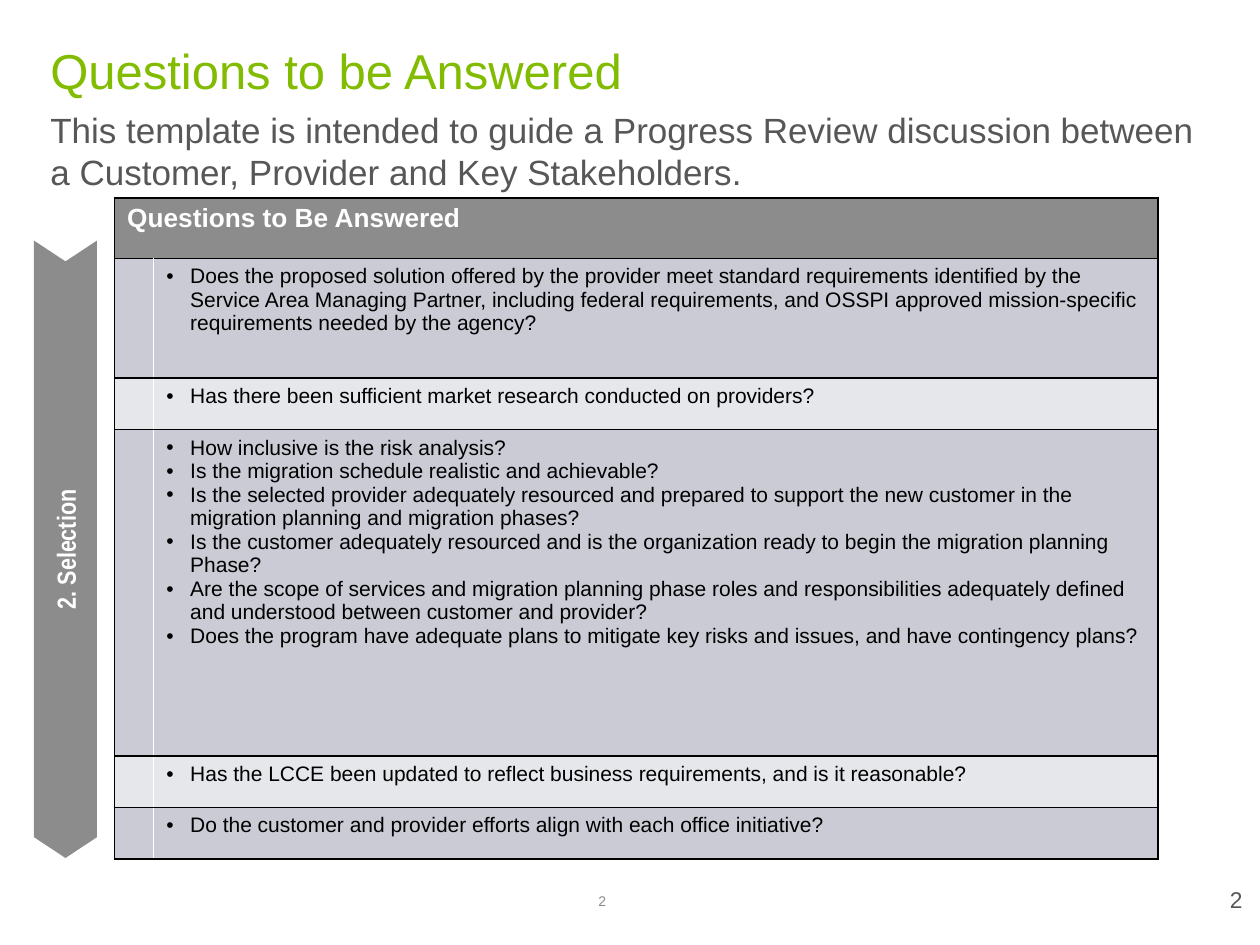
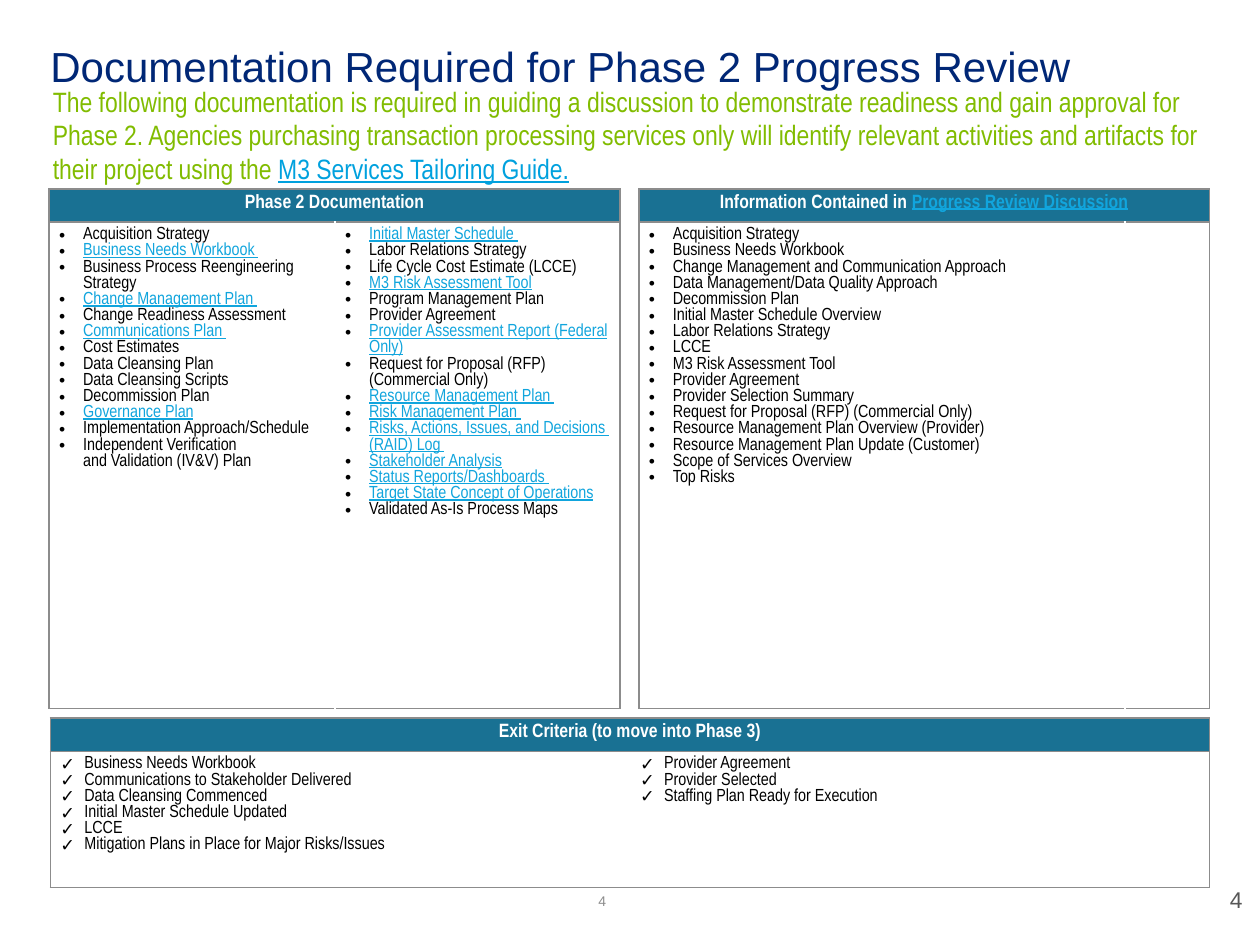
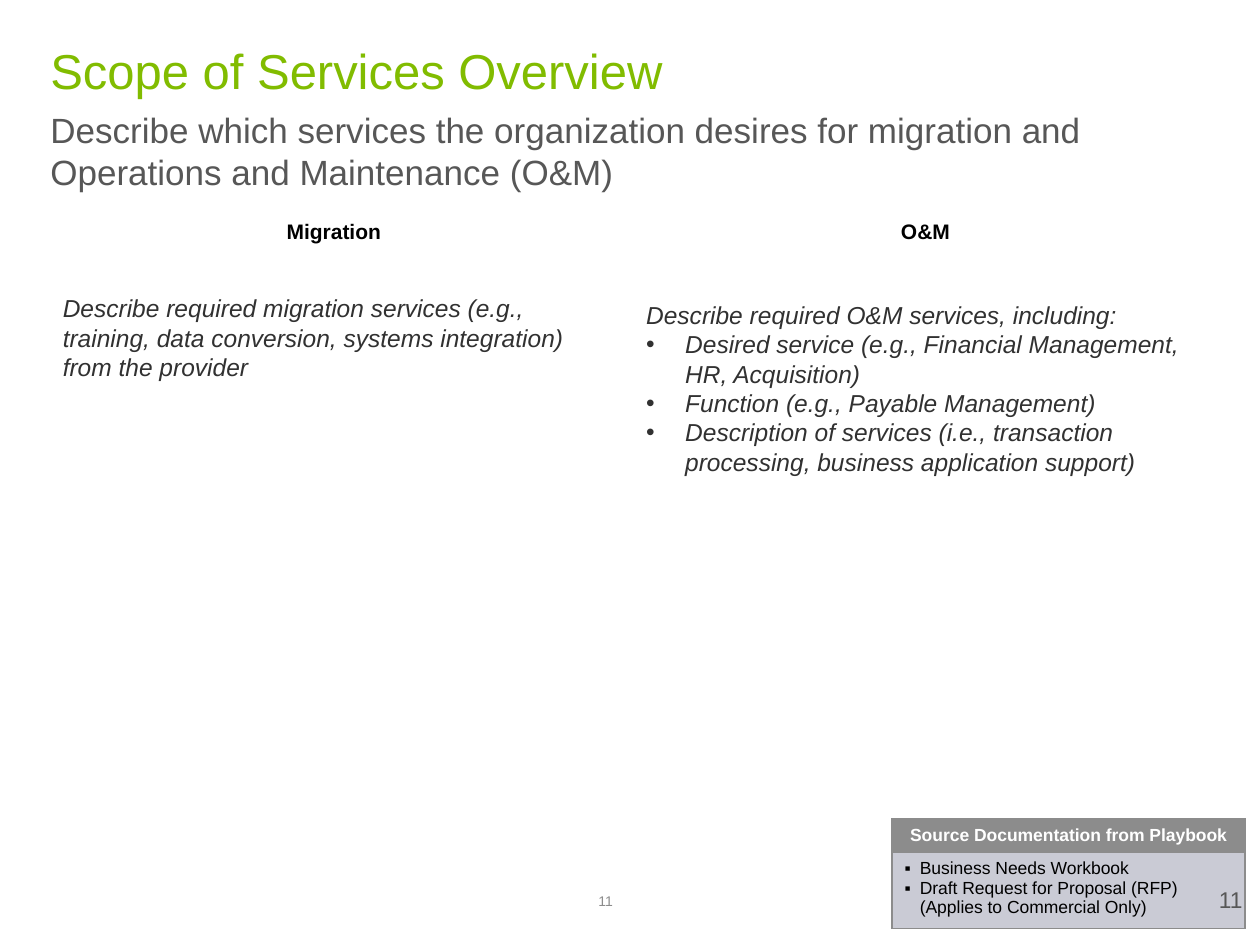
from dataclasses import dataclass, replace
from typing import Optional, Sequence, Union

from lxml import etree
from pptx import Presentation
from pptx.dml.color import RGBColor
from pptx.enum.shapes import MSO_SHAPE
from pptx.enum.text import MSO_ANCHOR, PP_ALIGN
from pptx.oxml.ns import qn
from pptx.util import Inches, Pt

CHEVRON, RECTANGLE = MSO_SHAPE.CHEVRON, MSO_SHAPE.RECTANGLE
LEFT, CENTER, RIGHT = PP_ALIGN.LEFT, PP_ALIGN.CENTER, PP_ALIGN.RIGHT
TOP, MIDDLE, BOTTOM = MSO_ANCHOR.TOP, MSO_ANCHOR.MIDDLE, MSO_ANCHOR.BOTTOM
TITLE_ONLY = 5
PLAIN_TABLE = "{2D5ABB26-0587-4C30-8999-92F81FD0307C}"
ARIAL, NARROW = "Arial", "Arial Narrow"
HARD_SPACE = chr(160)
COLORS = {
    "white": "FFFFFF",
    "black": "000000",
    "ink": "313131",
    "text": "575757",
    "gray": "8C8C8C",
    "band_dark": "CACBD5",
    "band_light": "E6E7EB",
    "green": "81BC00",
    "navy": "002776",
    "teal": "197193",
    "link": "11A5DD",
    "bright_link": "00A1DE",
}


class Link(str):
    pass


Line = Union[str, Sequence[str]]


@dataclass(frozen=True)
class Box:
    left: float
    top: float
    width: float
    height: float

    def lengths(self) -> tuple:
        return tuple(Inches(v) for v in (self.left, self.top, self.width, self.height))


@dataclass(frozen=True)
class Style:
    size: float
    color: str
    font: str = ARIAL
    bold: bool = False
    italic: bool = False
    align: PP_ALIGN = LEFT
    spacing: float = 1.0
    bullet: str = ""
    indent: float = 0.19
    link: str = "link"


@dataclass(frozen=True)
class TableDesign:
    header: Style
    body: Style
    header_fill: str
    body_fills: Sequence[Optional[str]]
    outer: str
    inner: Optional[str]
    margins: tuple


TITLE = Style(28, "green")
SUBTITLE = Style(20, "text")
CENTER_NUMBER = Style(8, "gray")
CORNER_NUMBER = Style(13, "text", align=RIGHT)
SIDE_LABEL = Style(15, "white", NARROW, bold=True, align=CENTER)
COLUMN_HEADING = Style(12, "black", bold=True, align=CENTER, spacing=1.06)
DESCRIPTION = Style(14, "ink", italic=True)
SUBTITLE_BOX = Box(0.4, 0.86, 9.2, 0.83)
WIDE_MARGINS = (0.1, 0.05, 0.1, 0.05)

QUESTIONS = TableDesign(
    Style(15, "white", bold=True), Style(12, "black", bullet="•"),
    "gray", ("band_dark", "band_light"), "black", "white", WIDE_MARGINS)
DOCUMENTS = TableDesign(
    Style(11, "white", NARROW, bold=True, align=CENTER),
    Style(10, "black", NARROW, bullet="•"),
    "teal", (None,), "gray", "white", (0.08, 0.04, 0.08, 0.04))
EXIT_CRITERIA = replace(DOCUMENTS, body=replace(DOCUMENTS.body, bullet="✓"), inner=None)
SOURCES = TableDesign(
    Style(10, "white", bold=True, align=CENTER),
    Style(10, "black", bullet="▪", indent=0.12),
    "gray", ("band_dark",), "gray", None, WIDE_MARGINS)


def rgb(name: str) -> RGBColor:
    return RGBColor.from_string(COLORS[name])


def add_bullet(paragraph, style: Style) -> None:
    properties = paragraph._p.get_or_add_pPr()
    properties.set("marL", str(Inches(style.indent)))
    properties.set("indent", str(-Inches(style.indent)))
    color = etree.SubElement(properties, qn("a:buClr"))
    etree.SubElement(color, qn("a:srgbClr"), val=COLORS[style.color])
    etree.SubElement(properties, qn("a:buFont"), typeface=ARIAL)
    etree.SubElement(properties, qn("a:buChar"), char=style.bullet)


def write(frame, lines: Sequence[Line], style: Style) -> None:
    for line in lines:
        paragraph = frame.paragraphs[-1]
        if paragraph.runs:
            paragraph = frame.add_paragraph()
        paragraph.alignment = style.align
        paragraph.line_spacing = style.spacing
        paragraph.space_before = paragraph.space_after = Pt(0)
        if style.bullet:
            add_bullet(paragraph, style)
        for text in [line] if isinstance(line, str) else line:
            run = paragraph.add_run()
            run.text = str(text)
            linked = isinstance(text, Link)
            run.font.name = style.font
            run.font.size = Pt(style.size)
            run.font.bold = style.bold
            run.font.italic = style.italic
            run.font.underline = linked
            run.font.color.rgb = rgb(style.link if linked else style.color)


def set_margins(target, margins: tuple) -> None:
    (target.margin_left, target.margin_top,
     target.margin_right, target.margin_bottom) = (Inches(v) for v in margins)


def prepare_frame(shape, margins: tuple = (0, 0, 0, 0), anchor: MSO_ANCHOR = TOP,
                  wrap: bool = True):
    frame = shape.text_frame
    frame.word_wrap = wrap
    frame.vertical_anchor = anchor
    set_margins(frame, margins)
    return frame


def add_text(slide, box: Box, lines: Sequence[Line], style: Style,
             margins: tuple = (0, 0, 0, 0), anchor: MSO_ANCHOR = TOP):
    frame = prepare_frame(slide.shapes.add_textbox(*box.lengths()), margins, anchor)
    write(frame, lines, style)
    return frame


def add_label(slide, kind: MSO_SHAPE, box: Box, text: str, style: Style, fill: str):
    shape = slide.shapes.add_shape(kind, *box.lengths())
    shape.shadow.inherit = False
    shape.fill.solid()
    shape.fill.fore_color.rgb = rgb(fill)
    shape.line.fill.background()
    write(prepare_frame(shape, anchor=MIDDLE, wrap=False), [text], style)
    return shape


def set_border(cell, side: str, color: Optional[str]) -> None:
    properties = cell._tc.get_or_add_tcPr()
    border = etree.SubElement(properties, qn(f"a:ln{side}"), w=str(Pt(1)))
    if color is None:
        etree.SubElement(border, qn("a:noFill"))
    else:
        fill = etree.SubElement(border, qn("a:solidFill"))
        etree.SubElement(fill, qn("a:srgbClr"), val=COLORS[color])


def add_table(slide, left: float, top: float, widths: Sequence[float],
              heights: Sequence[float], heading: Line,
              body: Sequence[Sequence[Sequence[Line]]], design: TableDesign) -> None:
    box = Box(left, top, sum(widths), sum(heights))
    table = slide.shapes.add_table(len(heights), len(widths), *box.lengths()).table
    table._tbl.tblPr.find(qn("a:tableStyleId")).text = PLAIN_TABLE
    table.first_row = table.horz_banding = False
    for column, width in zip(table.columns, widths):
        column.width = Inches(width)
    for row, height in zip(table.rows, heights):
        row.height = Inches(height)
    last = len(widths) - 1
    if last:
        table.cell(0, 0).merge(table.cell(0, last))
    for row_index in range(len(heights)):
        header = row_index == 0
        fill = design.header_fill if header else design.body_fills[
            (row_index - 1) % len(design.body_fills)]
        for column_index in range(len(widths)):
            cell = table.cell(row_index, column_index)
            set_margins(cell, design.margins)
            set_border(cell, "L", design.outer if header or column_index == 0 else design.inner)
            set_border(cell, "R", design.outer if header or column_index == last else design.inner)
            set_border(cell, "T", design.outer)
            set_border(cell, "B", design.outer)
            if fill:
                cell.fill.solid()
                cell.fill.fore_color.rgb = rgb(fill)
            else:
                cell.fill.background()
            if not header:
                write(cell.text_frame, body[row_index - 1][column_index], design.body)
    write(table.cell(0, 0).text_frame, [heading], design.header)


def start_slide(presentation, title: str, number: str, style: Style = TITLE):
    slide = presentation.slides.add_slide(presentation.slide_layouts[TITLE_ONLY])
    shape = slide.shapes.title
    shape.left, shape.top, shape.width, shape.height = Box(0.4, 0.32, 9.2, 0.51).lengths()
    write(prepare_frame(shape), [title], style)
    add_text(slide, Box(4.75, 7.09, 0.5, 0.13), [number], CENTER_NUMBER, anchor=BOTTOM)
    return slide


def add_corner_number(slide, number: str) -> None:
    add_text(slide, Box(9.36, 6.93, 0.6, 0.57), [number], CORNER_NUMBER, (0.1,) * 4)


def build_questions(presentation) -> None:
    slide = start_slide(presentation, "Questions to be Answered", "2")
    add_text(slide, SUBTITLE_BOX, [
        "This template is intended to guide a Progress Review discussion between "
        "a Customer, Provider and Key Stakeholders."], SUBTITLE)
    chevron = add_label(slide, CHEVRON, Box(-1.93, 4.11, 4.9, 0.5), "2. Selection",
                        SIDE_LABEL, "gray")
    chevron.adjustments[0] = 0.33
    chevron.rotation = 270
    chevron._element.spPr.find(qn("a:xfrm")).set("flipH", "1")
    questions = [
        ["Does the proposed solution offered by the provider meet standard requirements "
         "identified by the Service Area Managing Partner, including federal requirements, "
         "and OSSPI approved mission-specific requirements needed by the agency?"],
        ["Has there been sufficient market research conducted on providers?"],
        ["How inclusive is the risk analysis?",
         "Is the migration schedule realistic and achievable?",
         "Is the selected provider adequately resourced and prepared to support the new "
         "customer in the migration planning and migration phases?",
         "Is the customer adequately resourced and is the organization ready to begin the "
         "migration planning Phase?",
         "Are the scope of services and migration planning phase roles and responsibilities "
         "adequately defined and understood between customer and provider?",
         "Does the program have adequate plans to mitigate key risks and issues, and have "
         "contingency plans?"],
        ["Has the LCCE been updated to reflect business requirements, and is it reasonable?"],
        ["Do the customer and provider efforts align with each office initiative?"],
    ]
    add_table(slide, 0.91, 1.57, (0.31, 7.97), (0.48, 0.95, 0.41, 2.59, 0.41, 0.41),
              "Questions to Be Answered", [([], group) for group in questions], QUESTIONS)
    add_corner_number(slide, "2")


def build_documentation(presentation) -> None:
    slide = start_slide(presentation, "Documentation Required for Phase 2 Progress Review",
                        "4", replace(TITLE, size=24, color="navy"))
    add_text(slide, Box(0.42, 0.67, 9.2, 0.83), [(
        "The following documentation is required in guiding a discussion to demonstrate "
        "readiness and gain approval for Phase 2. Agencies purchasing transaction processing "
        "services only will identify relevant activities and artifacts for their project "
        "using the ", Link("M3 Services Tailoring Guide."))],
        Style(16, "green", NARROW, link="bright_link"))
    information = [
        "Acquisition Strategy",
        "Business Needs Workbook",
        "Change Management and Communication Approach",
        "Data Management/Data Quality Approach",
        "Decommission Plan",
        "Initial Master Schedule Overview",
        "Labor Relations Strategy",
        "LCCE",
        "M3 Risk Assessment Tool",
        "Provider Agreement",
        "Provider Selection Summary",
        "Request for Proposal (RFP) (Commercial Only)",
        "Resource Management Plan Overview (Provider)",
        "Resource Management Plan Update (Customer)",
        "Scope of Services Overview",
        "Top Risks",
    ]
    add_table(slide, 5.07, 1.5, (3.86, 0.67), (0.17, 3.86),
              ("Information Contained in ", Link("Progress Review Discussion")),
              [(information, [])], DOCUMENTS)
    delivered = [
        "Business Needs Workbook",
        "Communications to Stakeholder Delivered",
        "Data Cleansing Commenced",
        "Initial Master Schedule Updated",
        "LCCE",
        "Mitigation Plans in Place for Major Risks/Issues",
    ]
    selected = ["Provider Agreement", "Provider Selected", "Staffing Plan Ready for Execution"]
    add_table(slide, 0.4, 5.7, (4.6, 4.6), (0.17, 0.95),
              "Exit Criteria (to move into Phase 3)", [(delivered, selected)], EXIT_CRITERIA)
    first_documents = [
        "Acquisition Strategy",
        Link("Business Needs Workbook "),
        "Business Process Reengineering Strategy",
        Link("Change Management Plan "),
        "Change Readiness Assessment",
        Link("Communications Plan "),
        "Cost Estimates",
        "Data Cleansing Plan",
        "Data Cleansing Scripts",
        "Decommission Plan",
        Link("Governance Plan"),
        "Implementation Approach/Schedule",
        f"Independent Verification and{HARD_SPACE}Validation (IV&V) Plan",
    ]
    second_documents = [
        Link("Initial Master Schedule "),
        "Labor Relations Strategy",
        "Life Cycle Cost Estimate (LCCE)",
        Link("M3 Risk Assessment Tool"),
        "Program Management Plan",
        "Provider Agreement",
        Link("Provider Assessment Report (Federal Only)"),
        "Request for Proposal (RFP) (Commercial Only)",
        Link("Resource Management Plan "),
        Link("Risk Management Plan "),
        Link(f"Risks, Actions, Issues, and Decisions{HARD_SPACE} (RAID) Log "),
        Link("Stakeholder Analysis"),
        Link("Status Reports/Dashboards "),
        Link("Target State Concept of Operations"),
        "Validated As-Is Process Maps",
    ]
    add_table(slide, 0.39, 1.5, (2.27, 2.26), (0.24, 3.86), "Phase 2 Documentation",
              [(first_documents, second_documents)], DOCUMENTS)
    add_corner_number(slide, "4")


def build_scope(presentation) -> None:
    slide = start_slide(presentation, "Scope of Services Overview", "11")
    add_text(slide, SUBTITLE_BOX, [
        "Describe which services the organization desires for migration and "
        "Operations and Maintenance (O&M)"], SUBTITLE)
    add_table(slide, 7.08, 6.5, (2.8,), (0.24, 0.25), "Source Documentation from Playbook",
              [([
                  "Business Needs Workbook",
                  "Draft Request for Proposal (RFP) (Applies to Commercial Only)",
              ],)], SOURCES)
    add_label(slide, RECTANGLE, Box(2.17, 1.73, 0.96, 0.2), "Migration", COLUMN_HEADING, "white")
    add_label(slide, RECTANGLE, Box(7.05, 1.72, 0.59, 0.21), "O&M", COLUMN_HEADING, "white")
    services = add_text(slide, Box(5.03, 2.33, 4.57, 1.51),
                        ["Describe required O&M services, including:"],
                        DESCRIPTION, WIDE_MARGINS)
    write(services, [
        "Desired service (e.g., Financial Management, HR, Acquisition)",
        "Function (e.g., Payable Management)",
        "Description of services (i.e., transaction processing, business application support)",
    ], replace(DESCRIPTION, bullet="•", indent=0.31))
    add_text(slide, Box(0.4, 2.28, 4.46, 0.81), [
        "Describe required migration services (e.g., training, data conversion, "
        "systems integration) from the provider"], DESCRIPTION, WIDE_MARGINS)
    add_corner_number(slide, "11")


def main() -> None:
    presentation = Presentation()
    presentation.slide_width = Inches(10)
    presentation.slide_height = Inches(7.5)
    build_questions(presentation)
    build_documentation(presentation)
    build_scope(presentation)
    presentation.save("out.pptx")


if __name__ == "__main__":
    main()
